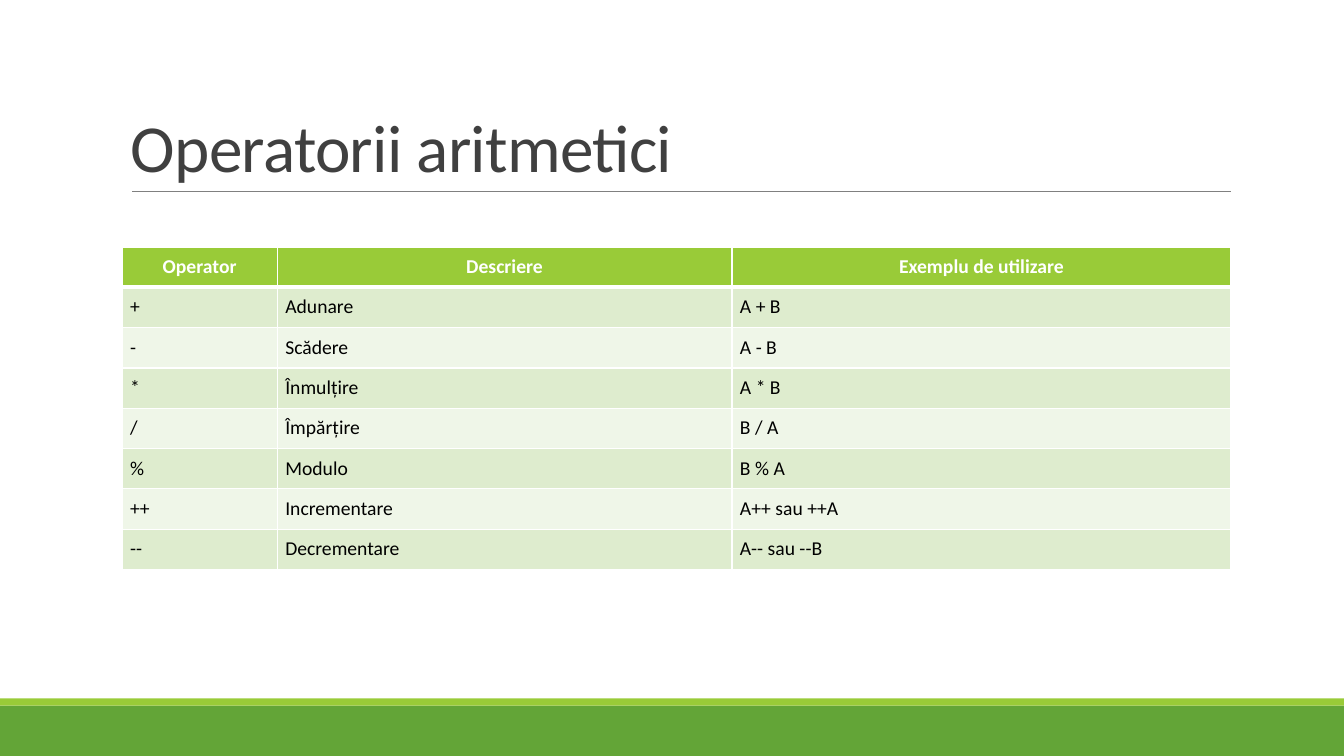
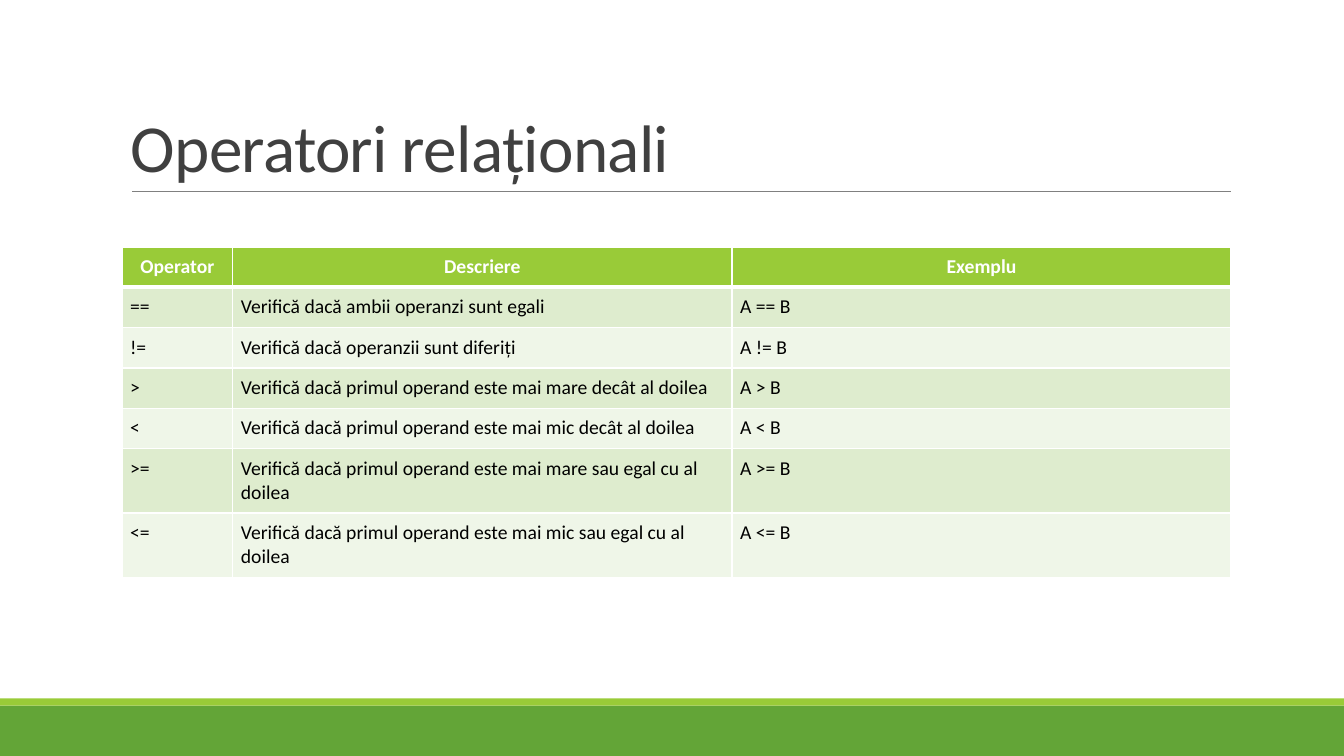
from dataclasses import dataclass

from lxml.etree import SubElement
from pptx import Presentation
from pptx.dml.color import RGBColor
from pptx.enum.shapes import MSO_CONNECTOR as Connector, MSO_SHAPE as Shape
from pptx.enum.text import MSO_ANCHOR as Anchor, PP_ALIGN as Align
from pptx.oxml import parse_xml
from pptx.oxml.ns import nsdecls, qn
from pptx.slide import Slide
from pptx.table import _Cell as Cell
from pptx.util import Inches, Pt

FONT = "Calibri"
WHITE, BLACK, TITLE_GREY, RULE_GREY = "FFFFFF", "000000", "404040", "808080"
LIME, GREEN = "99CB38", "63A537"
ROW_FILLS = ("DEECCE", "EFF6E8")
SLIDE_WIDTH, SLIDE_HEIGHT = 13.33, 7.5
TABLE_LEFT, TABLE_TOP = 1.21, 2.45
ROW_HEIGHT, TALL_ROW_HEIGHT, CELL_MARGIN = 0.4, 0.64, 0.08
THIN, THICK = 1, 3


@dataclass(frozen=True)
class Band:
    top: float
    height: float
    color: str


@dataclass(frozen=True)
class OperatorSlide:
    title: str
    column_widths: tuple[float, ...]
    header: tuple[str, ...]
    rows: tuple[tuple[str, ...], ...]
    tall_rows: tuple[int, ...] = ()


BANDS = (Band(7, 0.5, GREEN), Band(6.93, 0.07, LIME))

SLIDES = (
    OperatorSlide(
        "Operatorii aritmetici",
        (1.54, 4.51, 4.95),
        ("Operator", "Descriere", "Exemplu de utilizare"),
        (
            ("+", "Adunare", "A + B"),
            ("-", "Scădere", "A - B"),
            ("*", "Înmulțire", "A * B"),
            ("/", "Împărțire", "B / A"),
            ("%", "Modulo", "B % A"),
            ("++", "Incrementare", "A++ sau ++A"),
            ("--", "Decrementare", "A-- sau --B"),
        ),
    ),
    OperatorSlide(
        "Operatori relaționali",
        (1.1, 4.95, 4.95),
        ("Operator", "Descriere", "Exemplu"),
        (
            ("==", "Verifică dacă ambii operanzi sunt egali", "A == B"),
            ("!=", "Verifică dacă operanzii sunt diferiți", "A != B"),
            (">", "Verifică dacă primul operand este mai mare decât al doilea", "A > B"),
            ("<", "Verifică dacă primul operand este mai mic decât al doilea", "A < B"),
            (">=", "Verifică dacă primul operand este mai mare sau egal cu al doilea", "A >= B"),
            ("<=", "Verifică dacă primul operand este mai mic sau egal cu al doilea", "A <= B"),
        ),
        tall_rows=(5, 6),
    ),
)


def rgb(color: str) -> RGBColor:
    return RGBColor.from_string(color)


def style_font(font, size: float, color: str, bold: bool = False) -> None:
    font.name = FONT
    font.size = Pt(size)
    font.bold = bold
    font.color.rgb = rgb(color)


# Shared frame: bottom bands and the rule under the title
def add_frame(slide: Slide) -> None:
    for band in BANDS:
        shape = slide.shapes.add_shape(
            Shape.RECTANGLE, 0, Inches(band.top), Inches(SLIDE_WIDTH), Inches(band.height)
        )
        shape.shadow.inherit = False
        shape.fill.solid()
        shape.fill.fore_color.rgb = rgb(band.color)
        shape.line.fill.background()

    rule = slide.shapes.add_connector(
        Connector.STRAIGHT, Inches(1.31), Inches(1.9), Inches(12.21), Inches(1.9)
    )
    rule.line.color.rgb = rgb(RULE_GREY)
    rule.line.width = Pt(0.5)
    SubElement(rule._element.spPr, qn("a:effectLst"))


def add_title(slide: Slide, title: str) -> None:
    box = slide.shapes.add_textbox(Inches(1.2), Inches(0.31), Inches(11), Inches(1.59))
    text_frame = box.text_frame
    text_frame.word_wrap = True
    text_frame.vertical_anchor = Anchor.BOTTOM
    text_frame.text = title
    paragraph = text_frame.paragraphs[0]
    paragraph.line_spacing = 0.85
    run = paragraph.runs[0]
    style_font(run.font, 48, TITLE_GREY)
    run._r.get_or_add_rPr().set("spc", "-50")


# Table cells
def set_borders(cell: Cell, top: float, bottom: float) -> None:
    properties = cell._tc.get_or_add_tcPr()
    widths = {"lnL": THIN, "lnR": THIN, "lnT": top, "lnB": bottom}
    for index, (tag, width) in enumerate(widths.items()):
        border = parse_xml(
            f'<a:{tag} {nsdecls("a")} w="{Pt(width)}"><a:solidFill>'
            f'<a:srgbClr val="{WHITE}"/></a:solidFill></a:{tag}>'
        )
        properties.insert(index, border)


def fill_cell(cell: Cell, text: str, row: int) -> None:
    is_header = row == 0
    cell.margin_left = cell.margin_right = Inches(CELL_MARGIN)
    cell.margin_top = cell.margin_bottom = Inches(CELL_MARGIN)
    cell.fill.solid()
    cell.fill.fore_color.rgb = rgb(LIME if is_header else ROW_FILLS[(row - 1) % 2])
    set_borders(cell, THICK if row == 1 else THIN, THICK if is_header else THIN)
    cell.text_frame.text = text
    paragraph = cell.text_frame.paragraphs[0]
    paragraph.alignment = Align.CENTER if is_header else Align.LEFT
    style_font(paragraph.runs[0].font, 14, WHITE if is_header else BLACK, is_header)


def add_operator_table(slide: Slide, content: OperatorSlide) -> None:
    rows = (content.header, *content.rows)
    heights = [
        TALL_ROW_HEIGHT if row in content.tall_rows else ROW_HEIGHT for row in range(len(rows))
    ]
    table = slide.shapes.add_table(
        len(rows), len(content.header), Inches(TABLE_LEFT), Inches(TABLE_TOP),
        Inches(sum(content.column_widths)), Inches(sum(heights)),
    ).table
    for column, width in zip(table.columns, content.column_widths):
        column.width = Inches(width)
    for row, (texts, height) in enumerate(zip(rows, heights)):
        table.rows[row].height = Inches(height)
        for column, text in enumerate(texts):
            fill_cell(table.cell(row, column), text, row)


def main() -> None:
    presentation = Presentation()
    presentation.slide_width = Inches(SLIDE_WIDTH)
    presentation.slide_height = Inches(SLIDE_HEIGHT)
    blank_layout = presentation.slide_layouts[6]
    for content in SLIDES:
        slide = presentation.slides.add_slide(blank_layout)
        add_frame(slide)
        add_title(slide, content.title)
        add_operator_table(slide, content)
    presentation.save("out.pptx")


if __name__ == "__main__":
    main()
